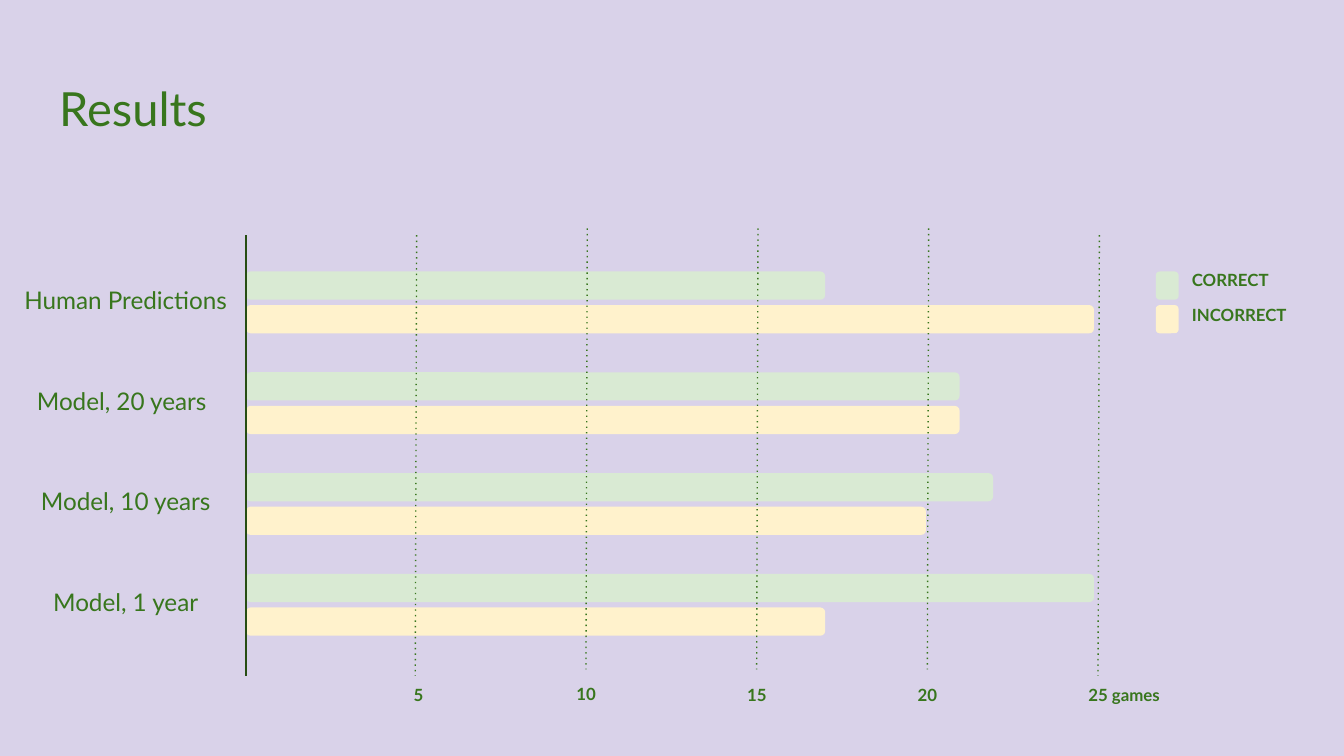
import pptx
import pptx.dml.color
import pptx.enum.dml
import pptx.enum.shapes
import pptx.enum.text
import pptx.oxml.ns
import pptx.util
from pptx.util import Inches

RGBColor = pptx.dml.color.RGBColor
LILAC = RGBColor(0xD9, 0xD2, 0xE9)
GREEN = RGBColor(0x38, 0x76, 0x1D)
DARK_GREEN = RGBColor(0x27, 0x4E, 0x13)
PALE_GREEN = RGBColor(0xD9, 0xEA, 0xD3)
CREAM = RGBColor(0xFF, 0xF2, 0xCC)

ALIGN = pptx.enum.text.PP_ALIGN
AUTO_SIZE = pptx.enum.text.MSO_AUTO_SIZE
AXIS_LEFT = 1.83
GAME_WIDTH, BAR_BASE = 0.25, 0.06
GRID_STEP = 1.27
GRID_LEAN = 0.01
ROW_TOP, ROW_STEP = 2.02, 0.75
BAR_HEIGHT, BAR_STEP = 0.21, 0.25
LINE_LENGTH = 3.28

# Label, label left, correct games, incorrect games
RESULTS = [
    ("Human Predictions", 0.02, 17, 25),
    ("Model, 20 years", -0.01, 21, 21),
    ("Model, 10 years", 0.02, 22, 20),
    ("Model, 1 year", 0.02, 25, 17),
]
# Label, label left, label top, label width, gridline top
TICKS = [
    ("5", 2.98, 5.02, 0.25, 1.75),
    ("10", 4.19, 5.01, 0.35, 1.70),
    ("15", 5.46, 5.02, 0.35, 1.70),
    ("20", 6.73, 5.02, 0.35, 1.70),
    ("25 games", 8.00, 5.02, 0.96, 1.75),
]
# Label, label top, colour
LEGEND = [("CORRECT", 1.93, PALE_GREEN), ("INCORRECT", 2.19, CREAM)]


def write(shape, text, size, bold=False, align=ALIGN.LEFT, auto_size=AUTO_SIZE.NONE):
    frame = shape.text_frame
    frame.text = text
    margin = Inches(0.1)
    frame_format = {
        "word_wrap": True,
        "auto_size": auto_size,
        "vertical_anchor": pptx.enum.text.MSO_ANCHOR.TOP,
        "margin_left": margin, "margin_right": margin,
        "margin_top": margin, "margin_bottom": margin,
    }
    for name, value in frame_format.items():
        setattr(frame, name, value)
    para = frame.paragraphs[0]
    para.alignment = align
    font = para.runs[0].font
    font_format = {"name": "Lato", "size": pptx.util.Pt(size), "bold": bold}
    for name, value in font_format.items():
        setattr(font, name, value)
    font.color.rgb = GREEN


def add_title(slide, text):
    title = slide.shapes.title
    place = {"left": 0.34, "top": 0.49, "width": 9.32, "height": 0.63}
    for name, value in place.items():
        setattr(title, name, Inches(value))
    write(title, text, 25.2)


def add_label(slide, text, left, top, width, height=0.35, size=9, bold=True,
              align=ALIGN.LEFT):
    box = slide.shapes.add_textbox(Inches(left), Inches(top), Inches(width), Inches(height))
    write(box, text, size, bold, align, AUTO_SIZE.SHAPE_TO_FIT_TEXT)


def add_bar(slide, left, top, width, color):
    bar = slide.shapes.add_shape(
        pptx.enum.shapes.MSO_SHAPE.ROUNDED_RECTANGLE,
        Inches(left), Inches(top), Inches(width), Inches(BAR_HEIGHT))
    bar.shadow.inherit = False
    bar.fill.solid()
    bar.fill.fore_color.rgb = color
    bar.line.fill.background()


def add_scale_line(slide, x, top, color, lean=0, dotted=False):
    """Draw a line down the chart whose foot lies left of its head by lean."""
    connector = slide.shapes.add_connector(
        pptx.enum.shapes.MSO_CONNECTOR.STRAIGHT,
        Inches(x), Inches(top), Inches(x - lean), Inches(top + LINE_LENGTH))
    connector.line.color.rgb = color
    connector.line.width = pptx.util.Pt(0.75)
    properties = connector.element.spPr
    if dotted:
        connector.line.dash_style = pptx.enum.dml.MSO_LINE.ROUND_DOT
        dash = properties.find(".//" + pptx.oxml.ns.qn("a:prstDash"))
        dash.set("val", "dot")
    properties.append(properties.makeelement(pptx.oxml.ns.qn("a:effectLst"), {}))


def add_results(slide):
    for row, (label, left, *games) in enumerate(RESULTS):
        top = ROW_TOP + row * ROW_STEP
        for series, (count, color) in enumerate(zip(games, (PALE_GREEN, CREAM))):
            width = BAR_BASE + count * GAME_WIDTH
            add_bar(slide, AXIS_LEFT, top + series * BAR_STEP, width, color)
        add_label(slide, label, left, top, 1.83, 0.42, 13, False, ALIGN.CENTER)


def add_scale(slide):
    for number, (label, left, top, width, line_top) in enumerate(TICKS, start=1):
        x = AXIS_LEFT + number * GRID_STEP
        add_scale_line(slide, x, line_top, GREEN, GRID_LEAN, dotted=True)
        add_label(slide, label, left, top, width)
    add_scale_line(slide, AXIS_LEFT, 1.75, DARK_GREEN)


def add_legend(slide):
    for series, (label, top, color) in enumerate(LEGEND):
        add_bar(slide, 8.6, ROW_TOP + series * BAR_STEP, 0.17, color)
        add_label(slide, label, 8.77, top, 0.96)


def main():
    deck = pptx.Presentation()
    deck.slide_width = Inches(10)
    deck.slide_height = deck.slide_width * 9 // 16
    slide = deck.slides.add_slide(deck.slide_layouts.get_by_name("Title Only"))
    slide.background.fill.solid()
    slide.background.fill.fore_color.rgb = LILAC
    add_title(slide, "Results")
    add_results(slide)
    add_scale(slide)
    add_legend(slide)
    deck.save("out.pptx")


if __name__ == "__main__":
    main()
